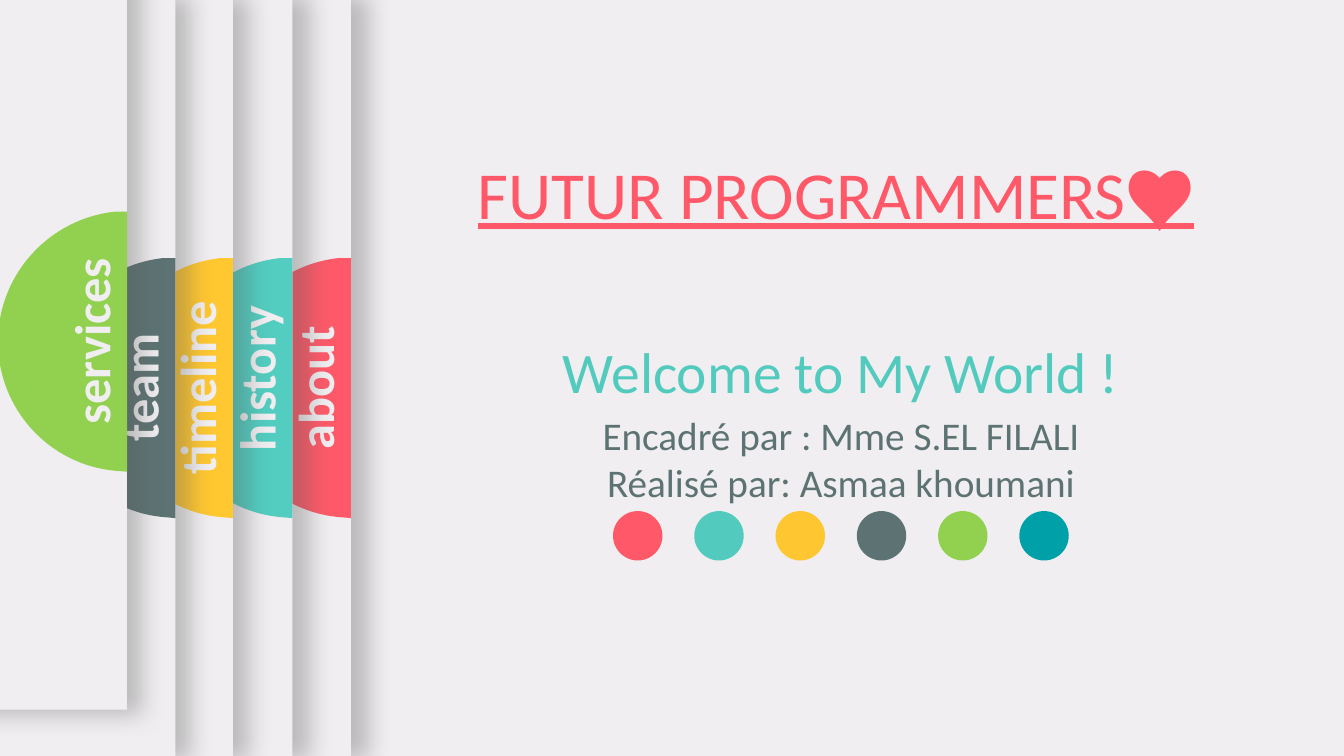
from dataclasses import dataclass

import pptx
import pptx.dml.color
import pptx.enum.shapes
import pptx.enum.text
import pptx.oxml
import pptx.oxml.ns
import pptx.util

Inches = pptx.util.Inches


@dataclass(frozen=True)
class Theme:
    font: str = "Calibri"
    paper: str = "F0EEF0"
    shadow: str = "595959"
    coral: str = "FF5969"
    mint: str = "52CBBE"
    mint_tab: str = "52CDC0"
    amber: str = "FEC630"
    amber_tab: str = "FFC730"
    slate: str = "5D7373"
    lime: str = "92D050"
    teal: str = "00A0A8"
    heading_size: int = 48
    welcome_size: int = 41
    credit_size: int = 28
    label_size: int = 36


theme = Theme()

heading = "FUTUR PROGRAMMERS♥"
welcome = "Welcome to My World !"
credits = ["Encadré par : Mme S.EL FILALI", "Réalisé par: Asmaa khoumani"]
dot_colors = [theme.coral, theme.mint, theme.amber, theme.slate, theme.lime, theme.teal]

# label, color, right edge, panel width, vertical shift, label shift
tabs = [
    ("about", theme.coral, 3.48, 13.65, 0, 0),
    ("history", theme.mint_tab, 2.9, 12.52, 0, -0.09),
    ("timeline", theme.amber_tab, 2.31, 10.89, 0, 0),
    ("team", theme.slate, 1.74, 10.47, 0, 0),
    ("services", theme.lime, 1.26, 9.51, -0.46, 0),
]
tab_corners = [(0, 0), (0, 2.58), (0.12, 2.57)]
tab_curves = [
    (0.77, 2.51), (1.28, 1.96), (1.28, 1.29),
    (1.28, 0.62), (0.77, 0.07), (0.12, 0),
]

SLIDE_WIDTH, SLIDE_HEIGHT = 13.33, 7.5
DOT_SIZE, DOT_TOP, FIRST_DOT, LAST_DOT = 0.49, 5.07, 6.08, 10.11
TAB_TOP = 2.56
LABEL_WIDTH, LABEL_HEIGHT, LABEL_TOP, LABEL_OFFSET = 2.18, 0.71, 3.49, 1.45


def rgb(color):
    return pptx.dml.color.RGBColor.from_string(color)


def paint(shape, color):
    shape.fill.solid()
    shape.fill.fore_color.rgb = rgb(color)
    shape.line.fill.background()
    shape.shadow.inherit = False


def cast_shadow(shape):
    effects = shape._element.spPr.find(pptx.oxml.ns.qn("a:effectLst"))
    effects.append(pptx.oxml.parse_xml(
        f'<a:outerShdw {pptx.oxml.ns.nsdecls("a")} blurRad="{pptx.util.Pt(17)}" '
        f'dist="{pptx.util.Pt(3)}" dir="0" sx="101000" sy="101000" algn="l" '
        f'rotWithShape="0"><a:srgbClr val="{theme.shadow}">'
        f'<a:alpha val="35000"/></a:srgbClr></a:outerShdw>'))


def round_off(shape):
    qn = pptx.oxml.ns.qn
    lines = list(shape._element.spPr.iter(qn("a:lnTo")))[len(tab_corners) - 1:]
    for start in range(0, len(tab_curves), 3):
        curve = pptx.oxml.parse_xml(f'<a:cubicBezTo {pptx.oxml.ns.nsdecls("a")}/>')
        lines[start].addprevious(curve)
        for line in lines[start:start + 3]:
            curve.append(line[0])
            line.getparent().remove(line)


def write(box, lines, size, color, bold=False, underline=False):
    frame = box.text_frame
    frame.text = "\n".join(lines)
    frame.word_wrap = True
    frame.auto_size = pptx.enum.text.MSO_AUTO_SIZE.SHAPE_TO_FIT_TEXT
    frame.vertical_anchor = pptx.enum.text.MSO_ANCHOR.TOP
    for paragraph in frame.paragraphs:
        paragraph.alignment = pptx.enum.text.PP_ALIGN.CENTER
        for run in paragraph.runs:
            run.font.name = theme.font
            run.font.size = pptx.util.Pt(size)
            run.font.color.rgb = rgb(color)
            run.font.bold = bold
            run.font.underline = underline


def add_dots(shapes):
    dots = shapes.add_group_shape().shapes
    pitch = (LAST_DOT - FIRST_DOT) / (len(dot_colors) - 1)
    for index, color in enumerate(dot_colors):
        dot = dots.add_shape(
            pptx.enum.shapes.MSO_SHAPE.OVAL, Inches(FIRST_DOT + index * pitch),
            Inches(DOT_TOP), Inches(DOT_SIZE), Inches(DOT_SIZE))
        paint(dot, color)


def add_tab(shapes, label, color, edge, width, shift, label_shift):
    tab = shapes.add_group_shape().shapes
    panel = tab.add_shape(
        pptx.enum.shapes.MSO_SHAPE.RECTANGLE, Inches(edge - width), Inches(shift),
        Inches(width), Inches(SLIDE_HEIGHT))
    paint(panel, theme.paper)
    cast_shadow(panel)

    points = [(Inches(edge - depth), Inches(TAB_TOP + shift + drop))
              for depth, drop in tab_corners + tab_curves]
    outline = tab.build_freeform(*points[0])
    outline.add_line_segments(points[1:], close=True)
    half_disc = outline.convert_to_shape()
    round_off(half_disc)
    paint(half_disc, color)

    caption = tab.add_textbox(
        Inches(edge - LABEL_OFFSET), Inches(LABEL_TOP + shift + label_shift),
        Inches(LABEL_WIDTH), Inches(LABEL_HEIGHT))
    caption.rotation = 270
    write(caption, [label], theme.label_size, theme.paper, bold=True)


def main():
    deck = pptx.Presentation()
    deck.slide_width, deck.slide_height = Inches(SLIDE_WIDTH), Inches(SLIDE_HEIGHT)
    slide = deck.slides.add_slide(deck.slide_layouts.get_by_name("Title Only"))
    slide.background.fill.solid()
    slide.background.fill.fore_color.rgb = rgb(theme.paper)

    title = slide.shapes.title
    title.left, title.top = Inches(4.31), Inches(1.46)
    title.width, title.height = Inches(7.96), Inches(0.91)
    write(title, [heading], theme.heading_size, theme.coral, underline=True)

    add_dots(slide.shapes)
    greeting = slide.shapes.add_textbox(Inches(4.36), Inches(3.29), Inches(7.96), Inches(0.79))
    write(greeting, [welcome], theme.welcome_size, theme.mint)
    authors = slide.shapes.add_textbox(Inches(4.36), Inches(4.03), Inches(7.96), Inches(1.04))
    write(authors, credits, theme.credit_size, theme.slate)

    for tab in tabs:
        add_tab(slide.shapes, *tab)

    deck.save("out.pptx")


if __name__ == "__main__":
    main()
